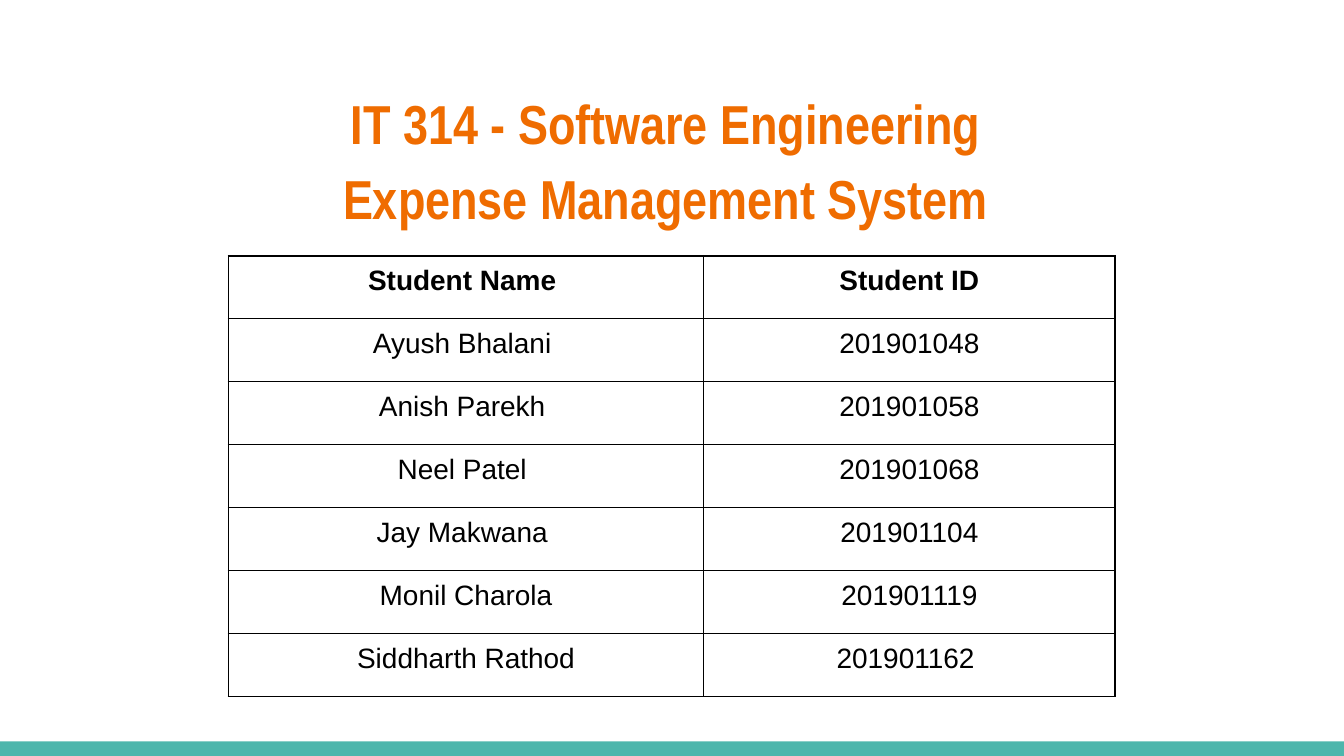
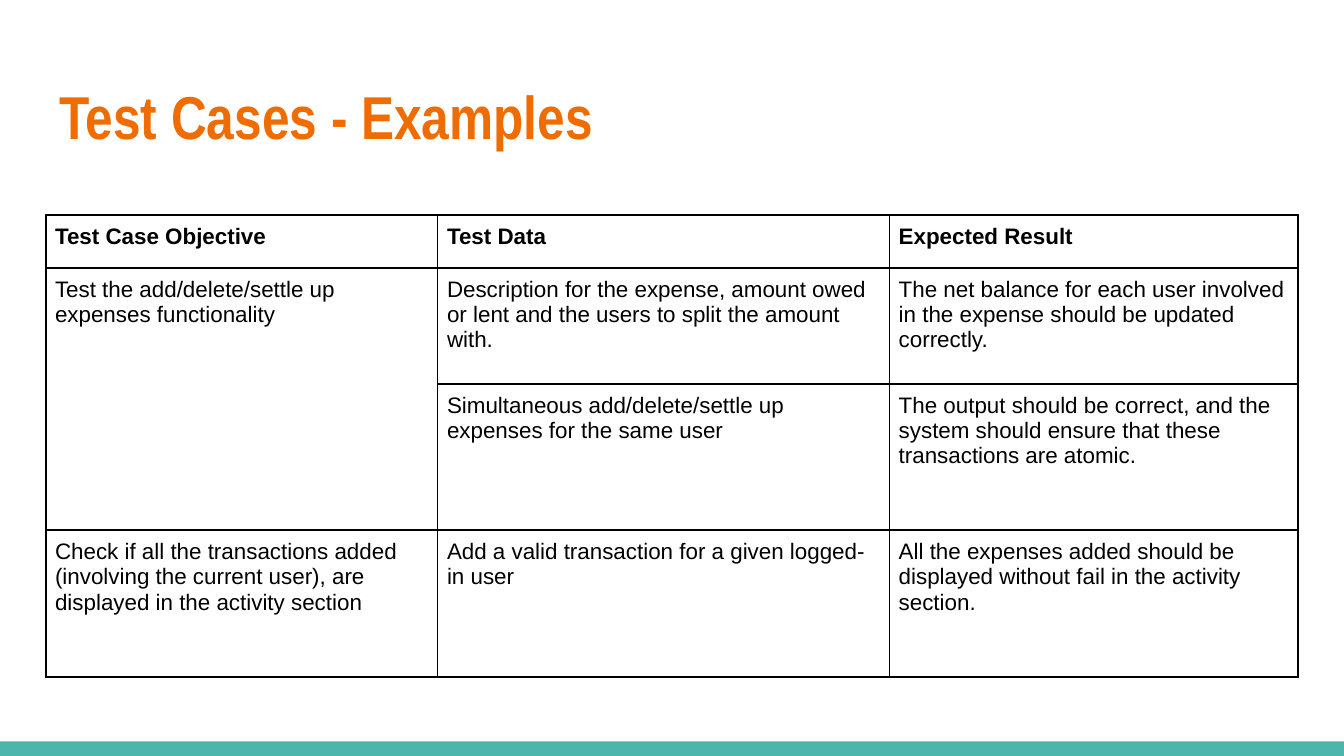
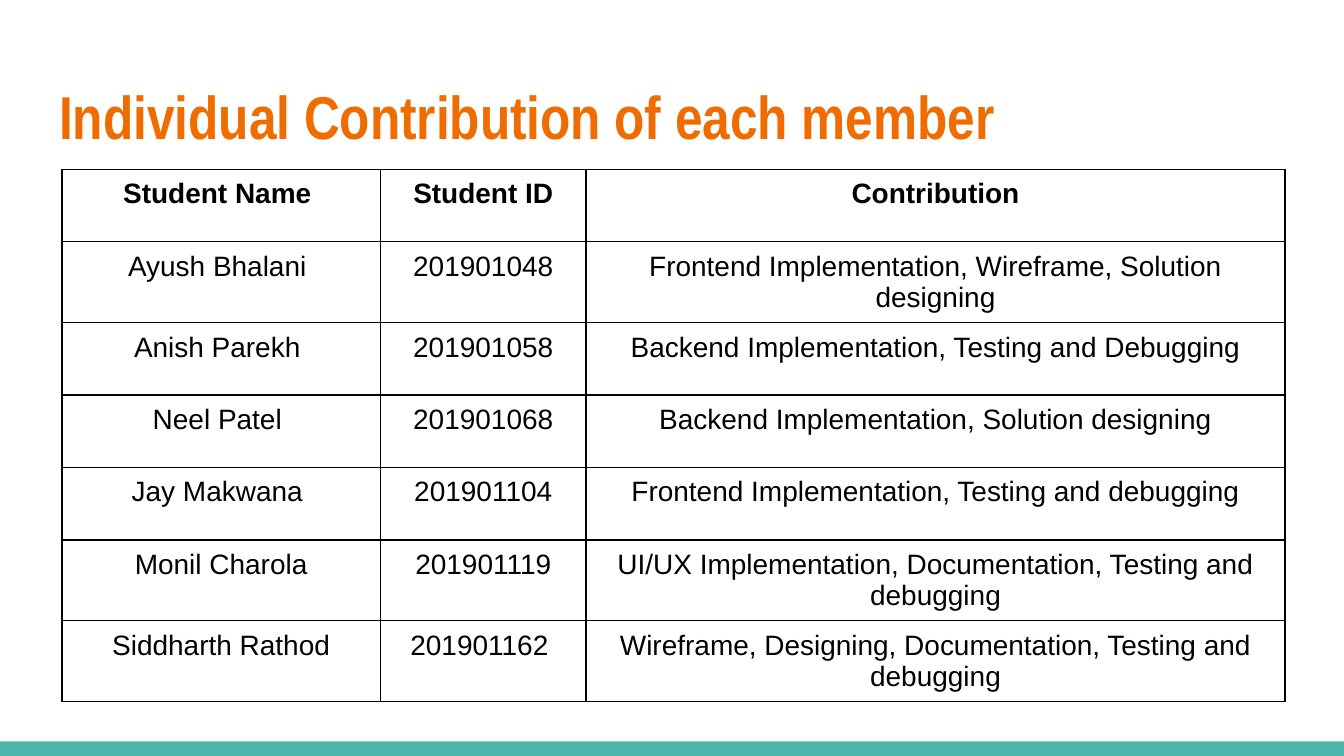
from dataclasses import dataclass
from typing import Any

from lxml.etree import SubElement
from pptx import Presentation
from pptx.dml.color import RGBColor
from pptx.enum.shapes import MSO_SHAPE
from pptx.enum.text import MSO_ANCHOR, MSO_AUTO_SIZE, PP_ALIGN
from pptx.oxml.ns import qn
from pptx.presentation import Presentation as Deck
from pptx.slide import Slide
from pptx.table import Table, _Cell
from pptx.util import Pt

# Shared look
WHITE = RGBColor(0xFF, 0xFF, 0xFF)
BLACK = RGBColor(0x00, 0x00, 0x00)
ORANGE = RGBColor(0xEF, 0x6C, 0x00)
TEAL = RGBColor(0x4D, 0xB6, 0xAC)

SLIDE_WIDTH, SLIDE_HEIGHT = Pt(720), Pt(405)
BAND_HEIGHT = Pt(7.8)
TITLE_ONLY_LAYOUT = 5
BORDER_WIDTH = Pt(1)

TITLE_BOX = {"left": Pt(24.5), "top": Pt(35.3), "width": Pt(671), "height": Pt(55.4)}
TITLE_FRAME = {
    "margin_left": Pt(7.2), "margin_right": Pt(7.2),
    "margin_top": Pt(7.2), "margin_bottom": Pt(7.2),
    "vertical_anchor": MSO_ANCHOR.TOP, "word_wrap": True,
    "auto_size": MSO_AUTO_SIZE.NONE,
}
TITLE_FONT = {"name": "Arial Narrow", "bold": True}
CELL_FORMAT = {
    "margin_left": Pt(5), "margin_right": Pt(5),
    "margin_top": Pt(5), "margin_bottom": Pt(5),
    "vertical_anchor": MSO_ANCHOR.TOP,
}
PLAIN_TABLE = {"first_row": False, "horz_banding": False}


@dataclass(frozen=True)
class Title:
    lines: list[str]
    size: float = 32.4
    alignment: PP_ALIGN = PP_ALIGN.LEFT
    line_spacing: float = 1.0


@dataclass(frozen=True)
class Grid:
    left: float
    top: float
    column_widths: list[float]
    row_heights: list[float]
    rows: list[list[str]]
    font_size: float
    alignment: PP_ALIGN
    merge: tuple[int, int, int, int] | None = None


@dataclass(frozen=True)
class Student:
    name: str
    number: str
    contribution: str


# Content
STUDENTS = [
    Student("Ayush Bhalani ", "201901048",
            "Frontend Implementation, Wireframe, Solution designing"),
    Student("Anish Parekh ", "201901058",
            "Backend Implementation, Testing and Debugging"),
    Student("Neel Patel ", "201901068",
            "Backend Implementation, Solution designing"),
    Student("Jay Makwana ", "201901104",
            "Frontend Implementation, Testing and debugging"),
    Student("Monil Charola", "201901119",
            "UI/UX Implementation, Documentation, Testing and debugging"),
    Student("Siddharth Rathod", "201901162 ",
            "Wireframe, Designing, Documentation, Testing and debugging"),
]
CONTRIBUTIONS = [["Student Name ", "Student ID", "Contribution"]] + [
    [student.name, student.number, student.contribution] for student in STUDENTS
]
TEST_CASES = [
    ["Test Case Objective", "Test Data", "Expected Result"],
    ["Test the add/delete/settle up expenses functionality",
     "Description for the expense, amount owed or lent and the users to split "
     "the amount with.",
     "The net balance for each user involved in the expense should be updated "
     "correctly."],
    ["",
     "Simultaneous add/delete/settle up expenses for the same user",
     "The output should be correct, and the system should ensure that these "
     "transactions are atomic."],
    ["Check if all the transactions added (involving the current user), are "
     "displayed in the activity section",
     "Add a valid transaction for a given logged-in user",
     "All the expenses added should be displayed without fail in the activity "
     "section."],
]

SLIDES = [
    (
        Title(["IT 314 - Software Engineering ", "Expense Management System "],
              29.4, PP_ALIGN.CENTER, 1.15),
        Grid(122.4, 137, [254.6, 220.4], [33.75] * len(CONTRIBUTIONS),
             [row[:2] for row in CONTRIBUTIONS], 15, PP_ALIGN.CENTER),
    ),
    (
        Title(["Test Cases - Examples"]),
        Grid(24.5, 115.2, [210, 242, 219], [28.3, 62.1, 78.5, 78.5],
             TEST_CASES, 12, PP_ALIGN.LEFT, merge=(1, 0, 2, 0)),
    ),
    (
        Title(["Individual Contribution of each member"]),
        Grid(33.2, 90.7, [170.6, 110.2, 374.4], [38.8] * len(CONTRIBUTIONS),
             CONTRIBUTIONS, 15, PP_ALIGN.CENTER),
    ),
]


def apply_format(target: Any, values: dict[str, Any]) -> None:
    for name, value in values.items():
        setattr(target, name, value)


def add_band(slide: Slide) -> None:
    band = slide.shapes.add_shape(MSO_SHAPE.RECTANGLE, 0, SLIDE_HEIGHT - BAND_HEIGHT,
                                  SLIDE_WIDTH, BAND_HEIGHT)
    band.shadow.inherit = False
    band.fill.solid()
    band.fill.fore_color.rgb = TEAL
    band.line.fill.background()


def fill_title(slide: Slide, title: Title) -> None:
    shape = slide.shapes.title
    apply_format(shape, TITLE_BOX)
    frame = shape.text_frame
    frame.text = "\n".join(title.lines)
    apply_format(frame, TITLE_FRAME)
    for paragraph in frame.paragraphs:
        apply_format(paragraph, {"alignment": title.alignment,
                                 "line_spacing": title.line_spacing})
        font = paragraph.runs[0].font
        apply_format(font, TITLE_FONT | {"size": Pt(title.size)})
        font.color.rgb = ORANGE


def add_borders(cell: _Cell) -> None:
    properties = cell._tc.get_or_add_tcPr()
    for side in ("a:lnL", "a:lnR", "a:lnT", "a:lnB"):
        line = SubElement(properties, qn(side), w=str(BORDER_WIDTH))
        fill = SubElement(line, qn("a:solidFill"))
        SubElement(fill, qn("a:srgbClr"), val=str(BLACK))


def fill_cell(cell: _Cell, text: str, grid: Grid, is_header: bool) -> None:
    apply_format(cell, CELL_FORMAT)
    add_borders(cell)
    cell.fill.background()
    if not text:
        return
    cell.text = text
    paragraph = cell.text_frame.paragraphs[0]
    paragraph.alignment = grid.alignment
    font = paragraph.runs[0].font
    apply_format(font, {"name": "Arial", "size": Pt(grid.font_size), "bold": is_header})
    font.color.rgb = BLACK


def add_grid(slide: Slide, grid: Grid) -> None:
    table: Table = slide.shapes.add_table(
        len(grid.rows), len(grid.column_widths), Pt(grid.left), Pt(grid.top),
        Pt(sum(grid.column_widths)), Pt(sum(grid.row_heights))).table
    apply_format(table, PLAIN_TABLE)
    for column, width in zip(table.columns, grid.column_widths):
        column.width = Pt(width)
    for row, height in zip(table.rows, grid.row_heights):
        row.height = Pt(height)
    for row_index, texts in enumerate(grid.rows):
        for column_index, text in enumerate(texts):
            fill_cell(table.cell(row_index, column_index), text, grid, row_index == 0)
    if grid.merge:
        first_row, first_column, last_row, last_column = grid.merge
        table.cell(first_row, first_column).merge(table.cell(last_row, last_column))


def add_slide(presentation: Deck, title: Title, grid: Grid) -> None:
    slide = presentation.slides.add_slide(presentation.slide_layouts[TITLE_ONLY_LAYOUT])
    slide.background.fill.solid()
    slide.background.fill.fore_color.rgb = WHITE
    add_band(slide)
    fill_title(slide, title)
    add_grid(slide, grid)


def main() -> None:
    presentation = Presentation()
    apply_format(presentation, {"slide_width": SLIDE_WIDTH, "slide_height": SLIDE_HEIGHT})
    for title, grid in SLIDES:
        add_slide(presentation, title, grid)
    presentation.save("out.pptx")


if __name__ == "__main__":
    main()
